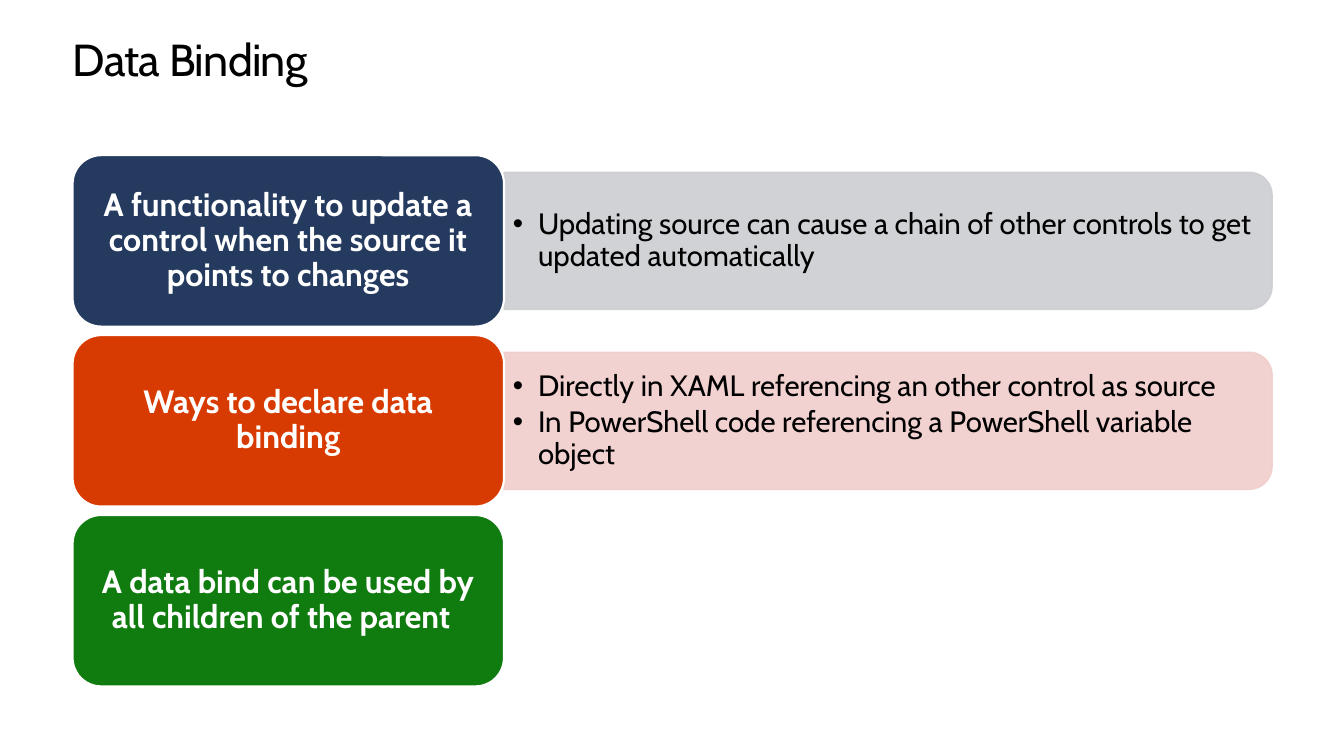
from lxml import etree
from pptx import Presentation
from pptx.dml.color import RGBColor
from pptx.enum.shapes import MSO_SHAPE
from pptx.enum.text import MSO_ANCHOR, PP_ALIGN
from pptx.oxml.ns import qn
from pptx.util import Pt

ROUNDED = MSO_SHAPE.ROUNDED_RECTANGLE
ROUNDED_TOP = MSO_SHAPE.ROUND_2_SAME_RECTANGLE
MIDDLE, TOP = MSO_ANCHOR.MIDDLE, MSO_ANCHOR.TOP
LEFT, CENTER = PP_ALIGN.LEFT, PP_ALIGN.CENTER

FONT = "Cabin"
BLACK = RGBColor(0x00, 0x00, 0x00)
WHITE = RGBColor(0xFF, 0xFF, 0xFF)
NAVY = RGBColor(0x24, 0x3A, 0x5E)
ORANGE = RGBColor(0xD8, 0x3B, 0x01)
GREEN = RGBColor(0x10, 0x7C, 0x10)
GREY = RGBColor(0xCD, 0xCE, 0xD2)
PINK = RGBColor(0xF0, 0xCE, 0xCC)

TITLE = "Data Binding"
# label, label colour, details, panel colour
TOPICS = [
    ("A functionality to update a control when the source it points to changes", NAVY,
     ["Updating source can cause a chain of other controls to get updated automatically"], GREY),
    ("Ways to declare data binding", ORANGE,
     ["Directly in XAML referencing an other control as source",
      "In PowerShell code referencing a PowerShell variable object"], PINK),
    ("A data bind can be used by all children of the parent\t", GREEN, [], None),
]

MARGIN = 51.84
TITLE_TOP, TITLE_WIDTH, TITLE_HEIGHT = 25.2, 856.8, 36
FIRST_TOP, PITCH = 110.88, 128.52
LABEL_WIDTH, LABEL_HEIGHT = 308.16, 122.4
PANEL_LEFT = MARGIN + LABEL_WIDTH
PANEL_WIDTH, PANEL_HEIGHT = 548.64, 97.92
DETAIL_WIDTH, DETAIL_HEIGHT = 543.6, 88.56
BULLET_INDENT = 18


def write(shape, lines, size, color, align, anchor, inset_x, inset_y, spacing, bold=False):
    frame = shape.text_frame
    frame.word_wrap = True
    frame.vertical_anchor = anchor
    frame.margin_left = frame.margin_right = Pt(inset_x)
    frame.margin_top = frame.margin_bottom = Pt(inset_y)
    frame.text = "\n".join(lines)
    for paragraph in frame.paragraphs:
        paragraph.alignment = align
        paragraph.line_spacing = spacing
        for run in paragraph.runs:
            run.font.name = FONT
            run.font.size = Pt(size)
            run.font.bold = bold
            run.font.color.rgb = color
    return frame.paragraphs


def add_block(slide, preset, left, top, width, height, color, line_color, line_width):
    block = slide.shapes.add_shape(preset, Pt(left), Pt(top), Pt(width), Pt(height))
    block.shadow.inherit = False
    block.fill.solid()
    block.fill.fore_color.rgb = color
    block.line.color.rgb = line_color
    block.line.width = Pt(line_width)
    return block


def add_panel(slide, middle, color):
    """Turn a top-rounded block a quarter so its round corners face right."""
    left = PANEL_LEFT + (PANEL_WIDTH - PANEL_HEIGHT) / 2
    panel = add_block(slide, ROUNDED_TOP, left, middle - PANEL_WIDTH / 2,
                      PANEL_HEIGHT, PANEL_WIDTH, color, color, 1)
    panel.rotation = 90
    for tint in panel._element.spPr.iter(qn("a:srgbClr")):
        etree.SubElement(tint, qn("a:alpha"), val="90000")


def add_details(slide, middle, details):
    box = slide.shapes.add_textbox(Pt(PANEL_LEFT), Pt(middle - DETAIL_HEIGHT / 2),
                                   Pt(DETAIL_WIDTH), Pt(DETAIL_HEIGHT))
    for paragraph in write(box, details, 21, BLACK, LEFT, MIDDLE, 6.3, 3.15, 0.9):
        paragraph.space_after = Pt(3.15)
        properties = paragraph._p.get_or_add_pPr()
        properties.set("marL", str(Pt(BULLET_INDENT)))
        properties.set("indent", str(-Pt(BULLET_INDENT)))
        etree.SubElement(properties, qn("a:buFont"), typeface="Arial")
        etree.SubElement(properties, qn("a:buChar"), char="•")


def main():
    deck = Presentation()
    deck.slide_width, deck.slide_height = Pt(960), Pt(540)
    slide = deck.slides.add_slide(deck.slide_layouts[6])

    title = slide.shapes.add_textbox(Pt(MARGIN), Pt(TITLE_TOP), Pt(TITLE_WIDTH), Pt(TITLE_HEIGHT))
    heading, = write(title, [TITLE], 32, BLACK, LEFT, TOP, 0, 0, Pt(36.2))
    heading.runs[0].font._element.set("spc", "-50")

    for row, (topic, color, details, panel_color) in enumerate(TOPICS):
        top = FIRST_TOP + row * PITCH
        middle = top + LABEL_HEIGHT / 2
        if details:
            add_panel(slide, middle, panel_color)
            add_details(slide, middle, details)
        label = add_block(slide, ROUNDED, MARGIN, top, LABEL_WIDTH, LABEL_HEIGHT, color, WHITE, 1.5)
        write(label, [topic], 23, WHITE, CENTER, MIDDLE, 7.2, 3.6, 0.9, bold=True)

    deck.save("out.pptx")


if __name__ == "__main__":
    main()
